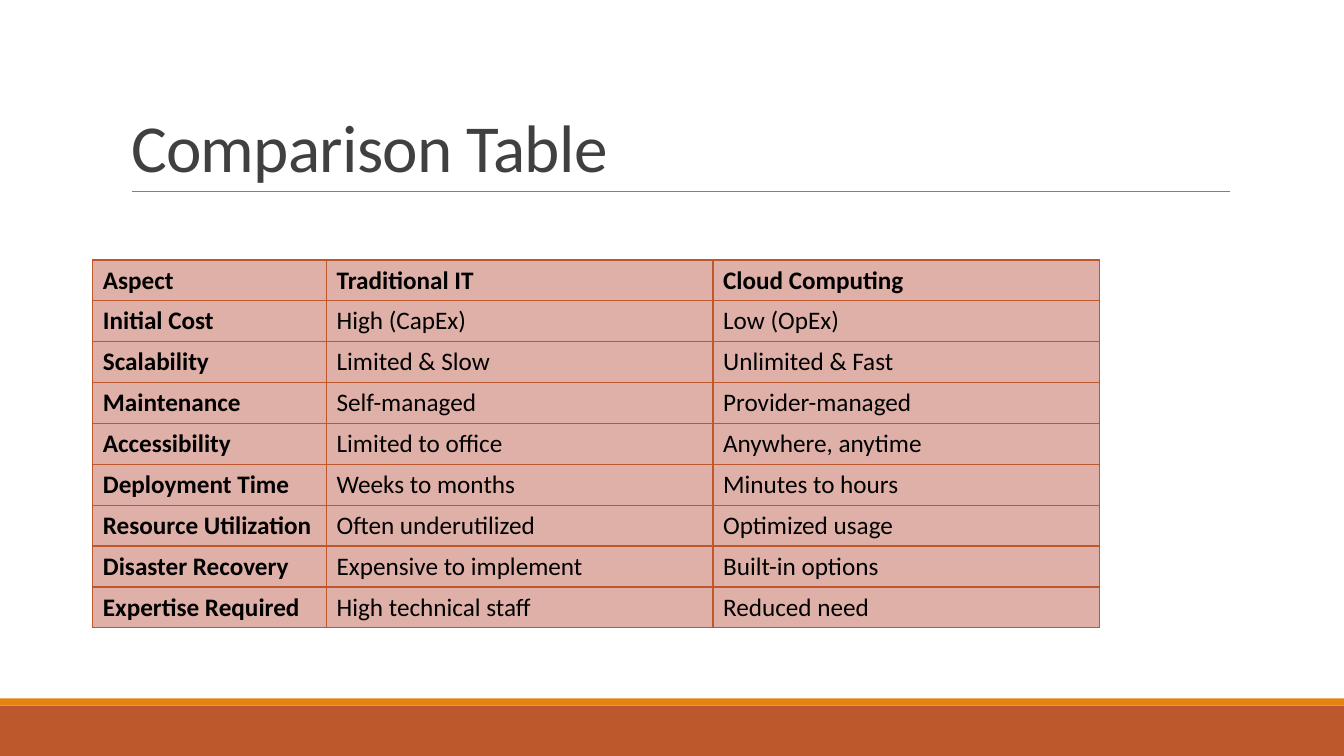
from dataclasses import dataclass

from lxml import etree
from pptx import Presentation
from pptx.dml.color import RGBColor
from pptx.enum.shapes import MSO_CONNECTOR, MSO_SHAPE
from pptx.enum.text import MSO_ANCHOR, MSO_AUTO_SIZE, PP_ALIGN
from pptx.oxml.ns import qn
from pptx.util import Cm, Pt

RECTANGLE = MSO_SHAPE.RECTANGLE
STRAIGHT = MSO_CONNECTOR.STRAIGHT
BOTTOM, MIDDLE = MSO_ANCHOR.BOTTOM, MSO_ANCHOR.MIDDLE
LEFT = PP_ALIGN.LEFT
NO_AUTOFIT = MSO_AUTO_SIZE.NONE


@dataclass(frozen=True)
class Theme:
    font: str = "Calibri"
    title_size: int = 48
    table_size: int = 18
    title: str = "404040"
    text: str = "000000"
    rule: str = "808080"
    rust: str = "BD582C"
    orange: str = "E48312"
    cell: str = "DFB0A8"


THEME = Theme()


def write(frame, text, size, color, bold=False, anchor=MIDDLE, line_spacing=1.0, tracking=0):
    frame.vertical_anchor = anchor
    paragraph = frame.paragraphs[0]
    paragraph.alignment = LEFT
    paragraph.line_spacing = line_spacing
    run = paragraph.add_run()
    run.text = text
    run.font.name = THEME.font
    run.font.size = Pt(size)
    run.font.bold = bold
    run.font.color.rgb = RGBColor.from_string(color)
    if tracking:
        run.font._element.set("spc", str(int(tracking * 100)))


def add_borders(cell, color, width):
    properties = cell._tc.get_or_add_tcPr()
    for side in ("a:lnL", "a:lnR", "a:lnT", "a:lnB"):
        border = etree.SubElement(properties, qn(side), w=str(Pt(width)))
        fill = etree.SubElement(border, qn("a:solidFill"))
        etree.SubElement(fill, qn("a:srgbClr"), val=color)


prs = Presentation()
prs.slide_width, prs.slide_height = Cm(33.87), Cm(19.05)
slide = prs.slides.add_slide(prs.slide_layouts[5])

for top, height, color in ((17.78, 1.27, THEME.rust), (17.6, 0.18, THEME.orange)):
    footer_band = slide.shapes.add_shape(RECTANGLE, 0, Cm(top), prs.slide_width, Cm(height))
    footer_band.shadow.inherit = False
    footer_band.fill.solid()
    footer_band.fill.fore_color.rgb = RGBColor.from_string(color)
    footer_band.line.fill.background()

title_rule = slide.shapes.add_connector(STRAIGHT, Cm(3.32), Cm(4.82), Cm(31), Cm(4.82))
title_rule.line.color.rgb = RGBColor.from_string(THEME.rule)
title_rule.line.width = Pt(0.5)
etree.SubElement(title_rule._element.spPr, qn("a:effectLst"))

title = slide.shapes.title
title.left, title.top, title.width, title.height = Cm(3.05), Cm(0.79), Cm(27.94), Cm(4.04)
title.text_frame.word_wrap = True
title.text_frame.auto_size = NO_AUTOFIT
write(title.text_frame, "Comparison Table", THEME.title_size, THEME.title,
      anchor=BOTTOM, line_spacing=0.85, tracking=-0.5)

comparison = [
    ("Aspect", "Traditional IT", "Cloud Computing"),
    ("Initial Cost", "High (CapEx)", "Low (OpEx)"),
    ("Scalability", "Limited & Slow", "Unlimited & Fast"),
    ("Maintenance", "Self-managed", "Provider-managed"),
    ("Accessibility", "Limited to office", "Anywhere, anytime"),
    ("Deployment Time", "Weeks to months", "Minutes to hours"),
    ("Resource Utilization", "Often underutilized", "Optimized usage"),
    ("Disaster Recovery", "Expensive to implement", "Built-in options"),
    ("Expertise Required", "High technical staff", "Reduced need"),
]
column_widths = (5.89, 9.74, 9.74)
row_height = 1.03

table = slide.shapes.add_table(
    len(comparison), len(column_widths), Cm(2.34), Cm(6.55),
    Cm(sum(column_widths)), Cm(row_height * len(comparison))).table
table.first_row = False
table.horz_banding = False
for column, width in zip(table.columns, column_widths):
    column.width = Cm(width)

for row_index, entries in enumerate(comparison):
    table.rows[row_index].height = Cm(row_height)
    for column_index, entry in enumerate(entries):
        cell = table.cell(row_index, column_index)
        add_borders(cell, THEME.rust, 1)
        cell.fill.solid()
        cell.fill.fore_color.rgb = RGBColor.from_string(THEME.cell)
        cell.vertical_anchor = MIDDLE
        write(cell.text_frame, entry, THEME.table_size, THEME.text,
              bold=row_index == 0 or column_index == 0)

prs.save("out.pptx")
